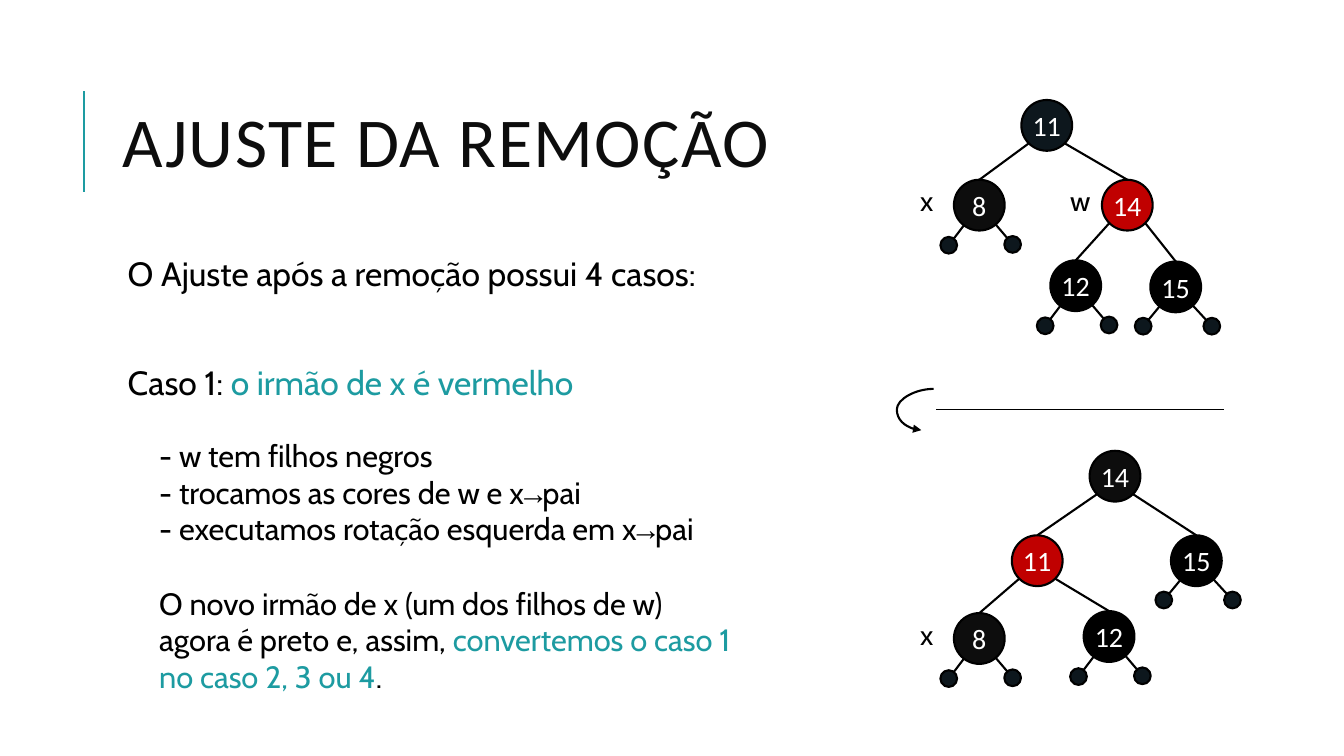
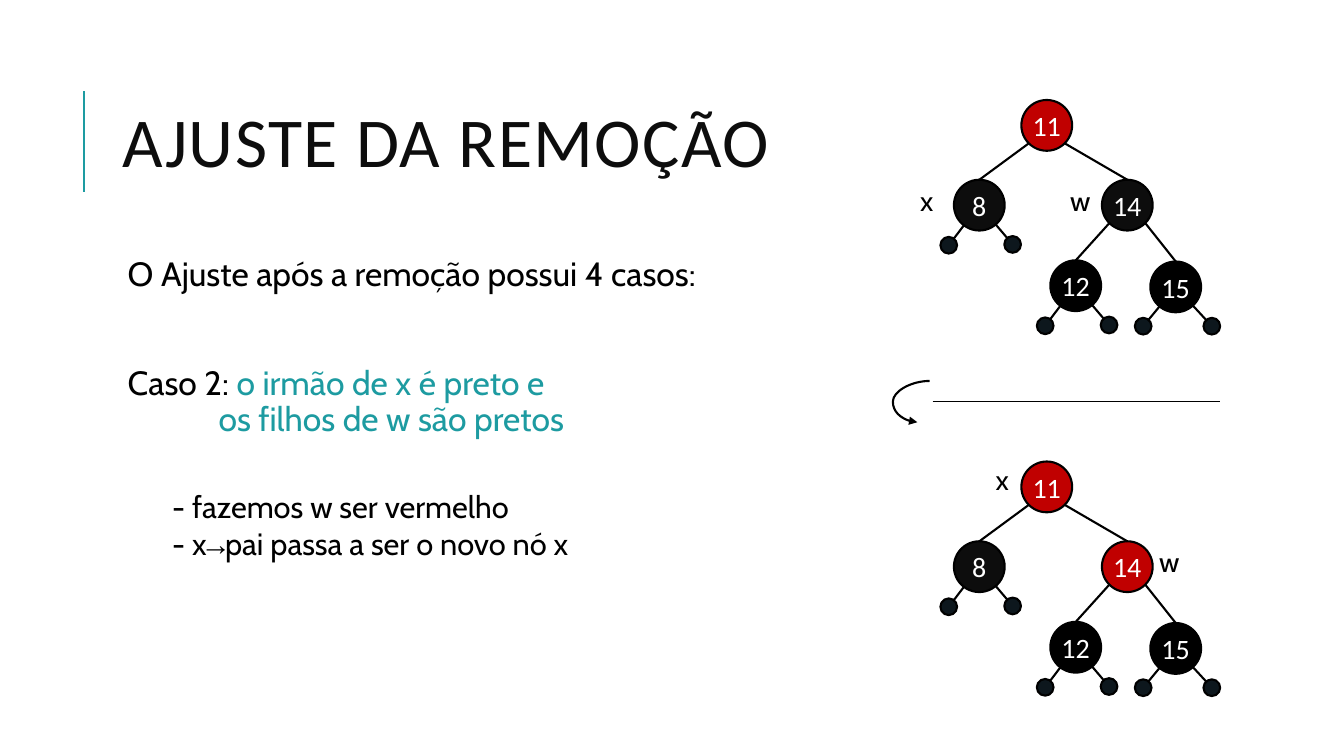
from math import hypot, sqrt

from lxml import etree
from pptx import Presentation
from pptx.dml.color import RGBColor
from pptx.enum.shapes import MSO_CONNECTOR as CONN, MSO_SHAPE as SHAPE
from pptx.enum.text import MSO_ANCHOR as ANCHOR, PP_ALIGN as ALIGN
from pptx.oxml.ns import qn
from pptx.util import Cm, Pt

COLORS = {"accent": "1D9BA1", "title": "0D0D0D", "text": "000000", "white": "FFFFFF",
          "red": "C00000", "ink": "0D171D", "soft": "0D0D0D", "black": "000000"}
BODY, HEAD, MONO = "Cabin", "Calibri", "Courier New"
TITLE = "AJUSTE DA REMOÇÃO"
INTRO = "O Ajuste após a remoção possui 4 casos:"

# Distances in cm
NODE_D, LEAF_D = 1.28, 0.42
LEAF_OFFSETS = [(-0.77, 1.01), (0.84, 0.99)]
WIDE_LEAF_OFFSETS = [(-0.82, 0.99), (0.91, 0.99)]
NODE_FILL = {"11": "ink", "8": "soft", "14": "soft", "12": "black", "15": "black"}

# Node centres and (left, right) children
ORIGINAL_TREE = {
    "centres": {"11": (26.38, 3.16), "8": (24.68, 5.17), "14": (28.41, 5.17),
                "12": (27.11, 7.2), "15": (29.63, 7.23)},
    "children": {"11": ("8", "14"), "14": ("12", "15")},
}
ROTATED_TREE = {
    "centres": {"14": (28.1, 12), "11": (26.14, 14.13), "15": (30.15, 14.13),
                "8": (24.68, 16.09), "12": (27.95, 16.04)},
    "children": {"14": ("11", "15"), "11": ("8", "12")},
}

# Paragraphs are (runs, space before in pt, left indent in cm); runs are (text, colour)
SLIDES = [
    {"case": [([("Caso 1: ", "text"), ("o irmão de x é vermelho", "accent")], 52, 0)],
     "steps_at": (3.76, 10.87, 6.83),
     "steps": [
         ([("- w tem filhos negros", "text")], 0, 0),
         ([("- trocamos as cores de w e x→pai", "text")], 0, 0),
         ([("- executamos rotação esquerda em x→pai", "text")], 0, 0),
         ([("O novo irmão de x (um dos filhos de w)\nagora é preto e, assim, ", "text"),
           ("convertemos o caso 1\nno caso 2, 3 ou 4", "accent"), (".", "text")], 26.5, 0)],
     "divider_at": (23.6, 10.32),
     "trees": [
         {"tree": ORIGINAL_TREE, "dy": 0, "red": {"14"},
          "labels": [("x", 22.94, 4.5), ("w", 26.72, 4.5)]},
         {"tree": ROTATED_TREE, "dy": 0, "red": {"11"},
          "labels": [("x", 22.94, 15.44)]}]},
    {"case": [([("Caso 2: ", "text"), ("o irmão de x é preto e", "accent")], 52, 0),
              ([("os filhos de w são pretos", "accent")], 0, 2.29)],
     "steps_at": (4.09, 12.17, 2.13),
     "steps": [
         ([("- fazemos w ser vermelho", "text")], 0, 0),
         ([("- x→pai passa a ser o novo nó x", "text")], 0, 0)],
     "divider_at": (23.5, 10.12),
     "trees": [
         {"tree": ORIGINAL_TREE, "dy": 0, "red": {"11"},
          "labels": [("x", 22.94, 4.5), ("w", 26.72, 4.5)]},
         {"tree": ORIGINAL_TREE, "dy": 9.11, "red": {"11", "14"},
          "labels": [("x", 24.84, 11.53), ("w", 28.96, 13.59)]}]},
]


def rgb(name):
    return RGBColor.from_string(COLORS[name])


def set_font(font, name, size, color):
    font.name, font.size = name, Pt(size)
    font.color.rgb = rgb(color)


def add_textbox(s, left, top, width, height, wrap=True):
    tf = s.shapes.add_textbox(Cm(left), Cm(top), Cm(width), Cm(height)).text_frame
    tf.word_wrap = wrap
    return tf


def add_run(p, text, color):
    """Add text, breaking lines at newlines and setting arrows in the mono font."""
    for i, line in enumerate(text.split("\n")):
        if i:
            p.add_line_break()
        for piece in line.replace("→", "|→|").split("|"):
            if piece:
                r = p.add_run()
                r.text = piece
                if piece == "→":
                    r.font.name = MONO
                if color != "text":
                    r.font.color.rgb = rgb(color)


def fill_paragraphs(tf, paragraphs, size, line_spacing=1.0):
    for i, (runs, before, indent) in enumerate(paragraphs):
        p = tf.add_paragraph() if i else tf.paragraphs[0]
        p.line_spacing = line_spacing
        if before:
            p.space_before = Pt(before)
        if indent:
            p._p.get_or_add_pPr().set("marL", str(Cm(indent)))
        set_font(p.font, BODY, size, "text")
        for text, color in runs:
            add_run(p, text, color)


def add_line(s, x1, y1, x2, y2, color="black", width=1.5, kind=CONN.STRAIGHT):
    c = s.shapes.add_connector(kind, Cm(x1), Cm(y1), Cm(x2), Cm(y2))
    c.line.color.rgb = rgb(color)
    c.line.width = Pt(width)
    etree.SubElement(c._element.spPr, qn("a:effectLst"))
    return c


def add_disc(s, x, y, diameter, fill):
    """Add a circle centred on (x, y)."""
    sp = s.shapes.add_shape(SHAPE.OVAL, Cm(x - diameter / 2), Cm(y - diameter / 2),
                            Cm(diameter), Cm(diameter))
    sp.shadow.inherit = False
    sp.fill.solid()
    sp.fill.fore_color.rgb = rgb(fill)
    sp.line.color.rgb = rgb("black")
    sp.line.width = Pt(1.5)
    return sp


def add_node(s, key, x, y, fill):
    sp = add_disc(s, x, y, NODE_D, fill)
    tf = sp.text_frame
    tf.margin_left = tf.margin_right = tf.margin_top = tf.margin_bottom = 0
    tf.vertical_anchor = ANCHOR.MIDDLE
    p = tf.paragraphs[0]
    p.text, p.alignment = key, ALIGN.CENTER
    set_font(p.font, HEAD, 20, "white")
    return sp


def add_leaves(s, x, y, offsets):
    for dx, dy in offsets:
        rim = NODE_D / 2 / hypot(dx, dy)
        add_line(s, x + dx * rim, y + dy * rim, x + dx, y + dy)
        add_disc(s, x + dx, y + dy, LEAF_D, "ink")


def add_tree(s, tree, dy, red, labels):
    centres = {key: (x, y + dy) for key, (x, y) in tree["centres"].items()}
    nodes = {key: add_node(s, key, x, y, "red" if key in red else NODE_FILL[key])
             for key, (x, y) in centres.items()}
    corner = NODE_D / 2 / sqrt(2)
    for key, (x, y) in centres.items():
        if key not in tree["children"]:
            add_leaves(s, x, y, WIDE_LEAF_OFFSETS if key == "15" else LEAF_OFFSETS)
            continue
        for side, child in zip((-1, 1), tree["children"][key]):
            cx, cy = centres[child]
            edge = add_line(s, x + side * corner, y + corner, cx, cy - NODE_D / 2)
            edge.end_connect(nodes[child], 0)
    for text, left, top in labels:
        tf = add_textbox(s, left, top, 0.9, 1.11, wrap=False)
        fill_paragraphs(tf, [([(text, "text")], 0, 0)], 20)


def add_divider(s, x, y):
    """Add the rule between the trees, with the curved arrow at its left end."""
    add_line(s, x, y, x + 7.25, y, width=1.25)
    arrow = add_line(s, x - 0.07, y - 0.52, x - 0.38, y + 0.52, kind=CONN.CURVE)
    guides = arrow._element.spPr.find(qn("a:prstGeom")).get_or_add_avLst()
    etree.SubElement(guides, qn("a:gd"), name="adj1", fmla="val 299300")
    etree.SubElement(arrow.line._get_or_add_ln(), qn("a:tailEnd"), type="triangle")


def add_title(s):
    add_line(s, 2.12, 4.83, 2.12, 2.3, "accent")
    tf = add_textbox(s, 2.84, 1.63, 27, 4.17)
    tf.vertical_anchor = ANCHOR.MIDDLE
    p = tf.paragraphs[0]
    p.line_spacing = 0.8
    set_font(p.font, HEAD, 50, "title")
    r = p.add_run()
    r.text = TITLE
    r._r.get_or_add_rPr().set("spc", "100")


def add_slide(prs, content):
    s = prs.slides.add_slide(prs.slide_layouts[6])
    add_title(s)
    body = add_textbox(s, 2.84, 6.35, 19, 5)
    body.margin_left, body.margin_top = Cm(0.38), Cm(0.13)
    fill_paragraphs(body, [([(INTRO, "text")], 0, 0)] + content["case"], 24, 0.9)
    left, top, height = content["steps_at"]
    fill_paragraphs(add_textbox(s, left, top, 16.94, height), content["steps"], 22)
    for tree in content["trees"]:
        add_tree(s, **tree)
    add_divider(s, *content["divider_at"])


def main():
    prs = Presentation()
    prs.slide_width, prs.slide_height = Cm(33.87), Cm(19.05)
    for content in SLIDES:
        add_slide(prs, content)
    prs.save("out.pptx")


if __name__ == "__main__":
    main()
